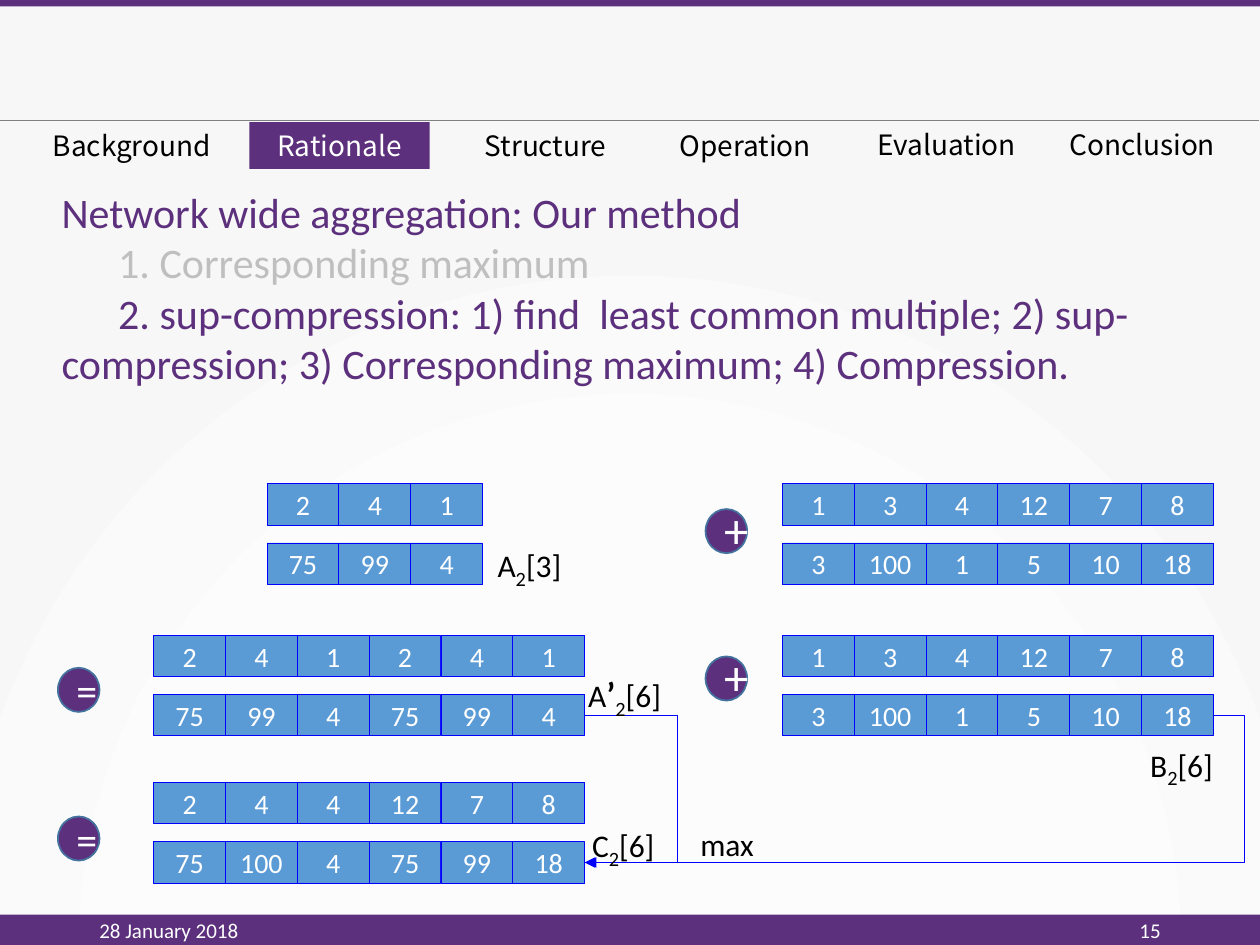
from dataclasses import dataclass

from lxml import etree
from pptx import Presentation
from pptx import util as u
from pptx.dml import color
from pptx.enum import shapes, text
from pptx.oxml import parse_xml
from pptx.oxml import ns

PURPLE, WHITE, BLACK, BLUE = "5C307D", "FFFFFF", "000000", "0000FF"
CELL_W, CELL_H, ROW_STEP = 0.57, 0.33, 0.47
LEFT, CENTER, RIGHT = text.PP_ALIGN.LEFT, text.PP_ALIGN.CENTER, text.PP_ALIGN.RIGHT
TOP, MIDDLE = text.MSO_ANCHOR.TOP, text.MSO_ANCHOR.MIDDLE
RECT, OVAL = shapes.MSO_SHAPE.RECTANGLE, shapes.MSO_SHAPE.OVAL


@dataclass
class Run:
    text: str
    size: float
    bold: bool = False
    baseline: int = 0


@dataclass
class Tab:
    name: str
    left: float
    top: float
    width: float
    active: bool = False


@dataclass
class Grid:
    left: float
    top: float
    rows: tuple


@dataclass
class Badge:
    sign: str
    left: float
    top: float
    size: int
    inset: float


@dataclass
class Label:
    left: float
    top: float
    width: float
    height: float
    runs: list


def rgb(value: str) -> color.RGBColor:
    return color.RGBColor.from_string(value)


def add_text(tf, content, *, size=16, fill=BLACK, font="Calibri", align=LEFT,
             anchor=TOP, wrap=True, indent=0, top_inset=0.05, new=False):
    tf.word_wrap = wrap
    tf.vertical_anchor = anchor
    tf.margin_top = u.Inches(top_inset)
    p = tf.add_paragraph() if new else tf.paragraphs[0]
    p.alignment = align
    if indent:
        p._p.get_or_add_pPr().set("indent", str(u.Inches(indent)))
    for run in [Run(content, size)] if isinstance(content, str) else content:
        r = p.add_run()
        r.text = run.text
        r.font.size = u.Pt(run.size)
        r.font.bold = run.bold
        r.font.name = font
        r.font.color.rgb = rgb(fill)
        rPr = r._r.get_or_add_rPr()
        etree.SubElement(rPr, ns.qn("a:ea")).set("typeface", font)
        if run.baseline:
            rPr.set("baseline", str(run.baseline * 1000))


def add_box(s, left: float, top: float, width: float, height: float):
    return s.shapes.add_textbox(*map(u.Inches, (left, top, width, height))).text_frame


def add_shape(s, kind, left: float, top: float, width: float, height: float,
              fill: str, line: str = "", weight: float = 0.5):
    sp = s.shapes.add_shape(kind, *map(u.Inches, (left, top, width, height)))
    sp.shadow.inherit = False
    sp.fill.solid()
    sp.fill.fore_color.rgb = rgb(fill)
    if line:
        sp.line.color.rgb = rgb(line)
        sp.line.width = u.Pt(weight)
    else:
        sp.line.fill.background()
    return sp


def add_line(s, kind, x1: float, y1: float, x2: float, y2: float, line: str):
    cx = s.shapes.add_connector(kind, *map(u.Inches, (x1, y1, x2, y2)))
    cx.line.color.rgb = rgb(line)
    cx.line.width = u.Pt(0.5)
    etree.SubElement(cx._element.spPr, ns.qn("a:effectLst"))
    return cx


def add_elbow(s, source, target, bend: float, offset: float = 0):
    x1, x2 = (sp.left + sp.width for sp in (source, target))
    y1, y2 = (sp.top + sp.height // 2 for sp in (source, target))
    x2 += u.Inches(offset)
    cx = add_line(s, shapes.MSO_CONNECTOR.ELBOW,
                  *(u.Emu(v).inches for v in (x1, y1, x2, y2)), BLUE)
    cx.begin_connect(source, 3)
    if not offset:
        cx.end_connect(target, 3)
    ratio = round((u.Inches(bend) - x1) / (x2 - x1) * 100000)
    guide = etree.SubElement(cx._element.spPr.prstGeom.get_or_add_avLst(), ns.qn("a:gd"))
    guide.set("name", "adj1")
    guide.set("fmla", f"val {ratio}")
    etree.SubElement(cx.line._get_or_add_ln(), ns.qn("a:tailEnd")).set("type", "triangle")


def add_grid(s, grid: Grid):
    for i, row in enumerate(grid.rows):
        for j, value in enumerate(row.split()):
            sp = add_shape(s, RECT, grid.left + j * CELL_W, grid.top + i * ROW_STEP,
                           CELL_W, CELL_H, "5B9BD5", BLUE)
            add_text(sp.text_frame, value, fill=WHITE, align=CENTER, anchor=MIDDLE)
    return sp


def add_tab(s, tab: Tab):
    box = (tab.left, tab.top, tab.width, 0.37)
    tf = add_shape(s, RECT, *box, PURPLE).text_frame if tab.active else add_box(s, *box)
    add_text(tf, tab.name, fill=WHITE if tab.active else BLACK,
             font="Noto Sans CJK SC", align=CENTER, wrap=tab.active)


def add_badge(s, badge: Badge):
    sp = add_shape(s, OVAL, badge.left, badge.top, 0.33, 0.35, PURPLE, "43739E", 1)
    add_text(sp.text_frame, badge.sign, size=badge.size, fill=WHITE, align=CENTER,
             anchor=MIDDLE, top_inset=badge.inset)


def set_background(s):
    stops = "".join(f'<a:gs pos="{pos * 1000}"><a:srgbClr val="{c}"/></a:gs>'
                    for pos, c in ((0, WHITE), (55, "FCFCFC"), (100, "F7F7F7")))
    s._element.cSld.insert(0, parse_xml(
        f'<p:bg {ns.nsdecls("p", "a")}><p:bgPr><a:gradFill rotWithShape="1">'
        f'<a:gsLst>{stops}</a:gsLst><a:path path="circle"><a:fillToRect l="50000" '
        't="130000" r="50000" b="-30000"/></a:path></a:gradFill><a:effectLst/>'
        '</p:bgPr></p:bg>'))


def indexed(name: str, count: int) -> list:
    return [Run(name, 18), Run("2", 20, baseline=-25), Run(f"[{count}]", 18)]


TABS = [
    Tab("Background", 0.3, 0.97, 1.49), Tab("Rationale", 1.98, 0.97, 1.43, True),
    Tab("Structure", 3.74, 0.97, 1.18), Tab("Operation", 5.27, 0.97, 1.29),
    Tab("Evaluation", 6.86, 0.96, 1.31), Tab("Conclusion", 8.37, 0.96, 1.39),
]
BODY = [
    ("Network wide aggregation: Our method", PURPLE, 0),
    ("1. Corresponding maximum", "BFBFBF", 0.45),
    ("2. sup-compression: 1) find  least common multiple; 2) sup-compression; "
     "3) Corresponding maximum; 4) Compression.", PURPLE, 0.45),
]
B_ROWS = ("1 3 4 12 7 8", "3 100 1 5 10 18")
A_GRID = Grid(2.12, 3.84, ("2 4 1", "75 99 4"))
B_GRID = Grid(6.21, 3.84, B_ROWS)
A_EXPANDED = Grid(1.22, 5.04, ("2 4 1 2 4 1", "75 99 4 75 99 4"))
B_EXPANDED = Grid(6.21, 5.04, B_ROWS)
C_GRID = Grid(1.22, 6.21, ("2 4 4 12 7 8", "75 100 4 75 99 18"))
BADGES = [
    Badge("+", 5.6, 4.04, 28, 0.01), Badge("+", 5.6, 5.21, 28, 0.01),
    Badge("=", 0.46, 5.3, 24, 0.05), Badge("=", 0.46, 6.48, 24, 0.05),
]
A_PRIME = [Run("A", 18), Run("’", 20, bold=True), *indexed("", 6)[1:]]
LABELS = [
    Label(3.85, 4.26, 0.72, 0.4, indexed("A", 3)),
    Label(4.57, 5.29, 0.8, 0.44, A_PRIME),
    Label(9.03, 5.84, 0.72, 0.4, indexed("B", 6)),
    Label(4.6, 6.48, 0.71, 0.4, indexed("C", 6)),
    Label(5.46, 6.5, 0.63, 0.4, [Run("max", 18)]),
]


def main():
    prs = Presentation()
    prs.slide_width, prs.slide_height = u.Inches(10), u.Inches(7.5)
    s = prs.slides.add_slide(prs.slide_layouts[6])
    set_background(s)
    add_shape(s, RECT, 0, 0, 10, 0.05, PURPLE)
    add_shape(s, RECT, 0, 7.26, 10, 0.24, PURPLE)
    for content, left, align in (("28 January 2018", 0.69, LEFT), ("15", 7.06, RIGHT)):
        add_text(add_box(s, left, 7.18, 2.25, 0.4), content, size=12, fill=WHITE,
                 align=align, anchor=MIDDLE)
    add_line(s, shapes.MSO_CONNECTOR.STRAIGHT, -0.01, 0.96, 9.99, 0.96, "808080")
    for tab in TABS:
        add_tab(s, tab)
    body = add_box(s, 0.39, 1.43, 8.76, 1.72)
    for i, (content, fill, indent) in enumerate(BODY):
        add_text(body, content, size=24, fill=fill, indent=indent, new=i > 0)
    add_grid(s, A_GRID)
    add_grid(s, B_GRID)
    a_last, b_last, c_last = (add_grid(s, g) for g in (A_EXPANDED, B_EXPANDED, C_GRID))
    for badge in BADGES:
        add_badge(s, badge)
    add_elbow(s, a_last, c_last, 5.39, 0.01)
    add_elbow(s, b_last, c_last, 9.88)
    for label in LABELS:
        add_text(add_box(s, label.left, label.top, label.width, label.height),
                 label.runs, wrap=False)
    prs.save("out.pptx")


if __name__ == "__main__":
    main()
